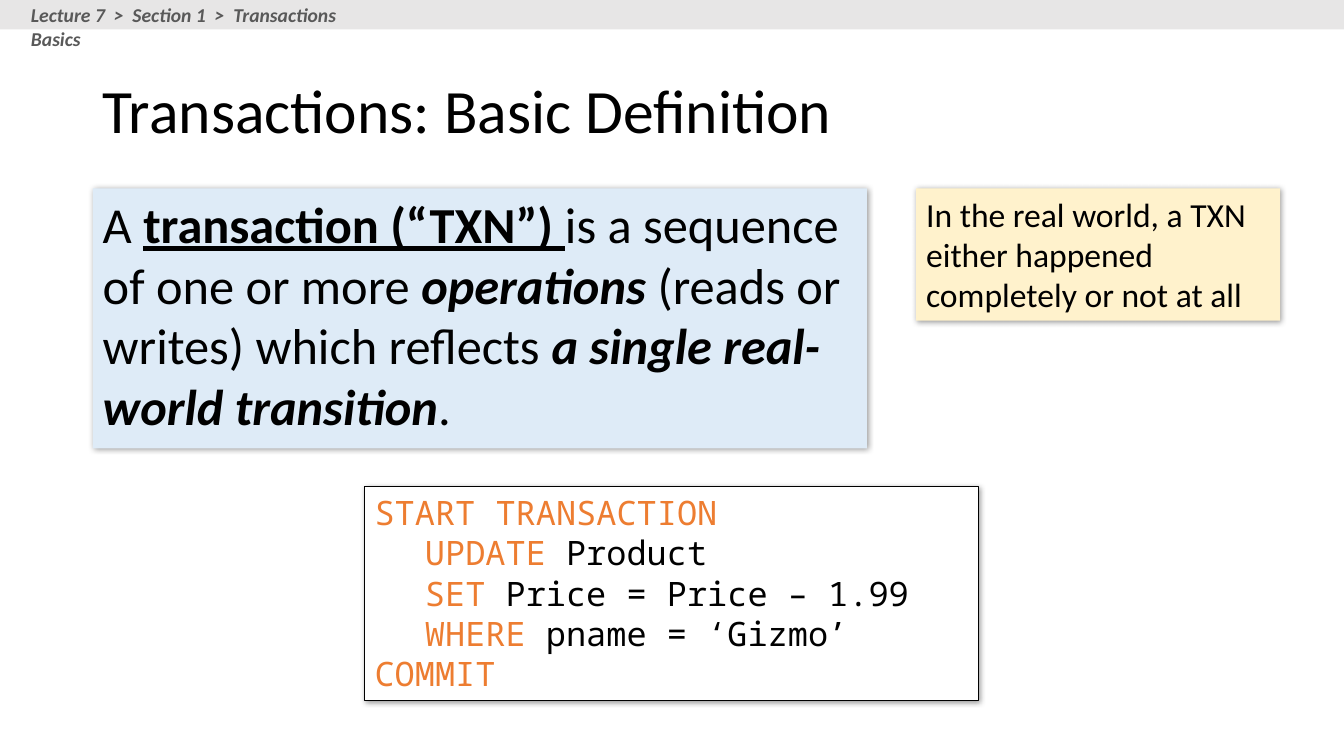
from lxml.etree import SubElement
from pptx import Presentation
from pptx.dml.color import RGBColor
from pptx.enum.shapes import MSO_SHAPE
from pptx.enum.text import MSO_ANCHOR, PP_ALIGN
from pptx.oxml.ns import qn
from pptx.util import Cm, Pt

BLACK = RGBColor(0x00, 0x00, 0x00)
WHITE = RGBColor(0xFF, 0xFF, 0xFF)
GREY = RGBColor(0xE7, 0xE6, 0xE6)
SLATE = RGBColor(0x59, 0x59, 0x59)
BLUE = RGBColor(0xDE, 0xEB, 0xF7)
CREAM = RGBColor(0xFF, 0xF2, 0xCC)
ORANGE = RGBColor(0xED, 0x7D, 0x31)

SANS = "Calibri"
MONO = "Noto Sans Mono"

STYLES = {
    "plain": (BLACK, False, False, False),
    "term": (BLACK, True, False, True),
    "strong": (BLACK, True, True, False),
    "key": (ORANGE, False, False, False),
    "crumb": (SLATE, True, True, False),
}

TRAIL = [[("Lecture 7  >  Section 1  >  Transactions Basics", "crumb")]]
TITLE = [[("Transactions: Basic Definition", "plain")]]
MEANING = [[
    ("A ", "plain"),
    ("transaction (“TXN”) ", "term"),
    ("is a sequence of one or more ", "plain"),
    ("operations", "strong"),
    (" (reads or writes) which reflects ", "plain"),
    ("a single real-world transition", "strong"),
    (".", "plain"),
]]
NOTE = [[("In the real world, a TXN either happened completely or not at all", "plain")]]
CODE = [
    [("START TRANSACTION", "key")],
    [("\t", "plain"), ("UPDATE", "key"), (" Product", "plain")],
    [("\t", "plain"), ("SET", "key"), (" Price = Price – 1.99", "plain")],
    [("\t", "plain"), ("WHERE ", "key"), ("pname = ‘Gizmo’", "plain")],
    [("COMMIT", "key")],
]

WIDTH, HEIGHT = 33.87, 19.05
LEFT, TOP = 2.34, 4.75

LABELS = [
    (TRAIL, (0.53, -0.05, 9.42, 0.86), 14, MSO_ANCHOR.TOP, 1),
    (TITLE, (LEFT, 1.02, 29.21, 3.68), 44, MSO_ANCHOR.MIDDLE, 0.9),
]
CARDS = [
    (MEANING, (LEFT, TOP, 19.51, 6.55), 36, SANS, BLUE, False),
    (CODE, (9.19, 12.27, 15.47, 5.38), 24, MONO, WHITE, True),
    (NOTE, (23.09, TOP, 9.17, 3.33), 24, SANS, CREAM, False),
]


def write(frame, lines, size, font):
    frame.word_wrap = True
    for row, parts in enumerate(lines):
        para = frame.paragraphs[0] if row == 0 else frame.add_paragraph()
        para.alignment = PP_ALIGN.LEFT
        for text, style in parts:
            run = para.add_run()
            run.text = text
            face = run.font
            face.name, face.size = font, Pt(size)
            face.color.rgb, face.bold, face.italic, face.underline = STYLES[style]


def block(slide, box, fill, edge=False):
    shape = slide.shapes.add_shape(MSO_SHAPE.RECTANGLE, *map(Cm, box))
    shape.shadow.inherit = False
    shape.fill.solid()
    shape.fill.fore_color.rgb = fill
    if edge:
        shape.line.color.rgb = BLACK
        shape.line.width = Pt(0.75)
    else:
        shape.line.fill.background()
    return shape


def shade(shape):
    effects = shape._element.spPr.find(qn("a:effectLst"))
    outer = SubElement(effects, qn("a:outerShdw"), blurRad=str(Pt(4)),
                       dist=str(Pt(1)), dir="2700000", algn="tl", rotWithShape="0")
    color = SubElement(outer, qn("a:srgbClr"), val=str(BLACK))
    SubElement(color, qn("a:alpha"), val="40000")


def main():
    deck = Presentation()
    deck.slide_width, deck.slide_height = Cm(WIDTH), Cm(HEIGHT)
    slide = deck.slides.add_slide(deck.slide_layouts[6])

    block(slide, (0, 0, WIDTH, 0.74), GREY)
    for lines, box, size, anchor, space in LABELS:
        frame = slide.shapes.add_textbox(*map(Cm, box)).text_frame
        write(frame, lines, size, SANS)
        frame.vertical_anchor = anchor
        frame.paragraphs[0].line_spacing = space

    for lines, box, size, font, fill, edge in CARDS:
        card = block(slide, box, fill, edge)
        shade(card)
        write(card.text_frame, lines, size, font)
        card.text_frame.vertical_anchor = MSO_ANCHOR.TOP

    deck.save("out.pptx")


if __name__ == "__main__":
    main()
